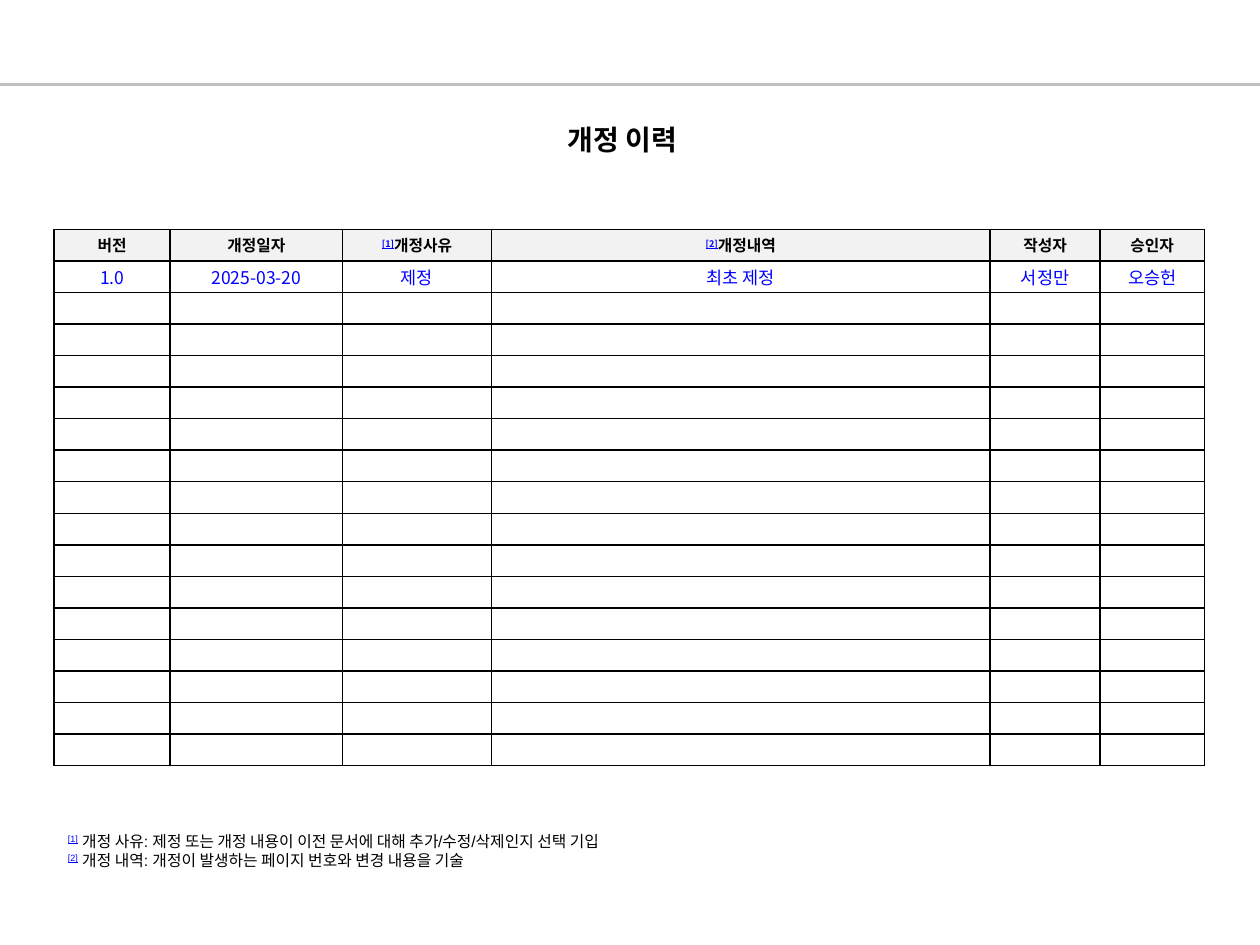
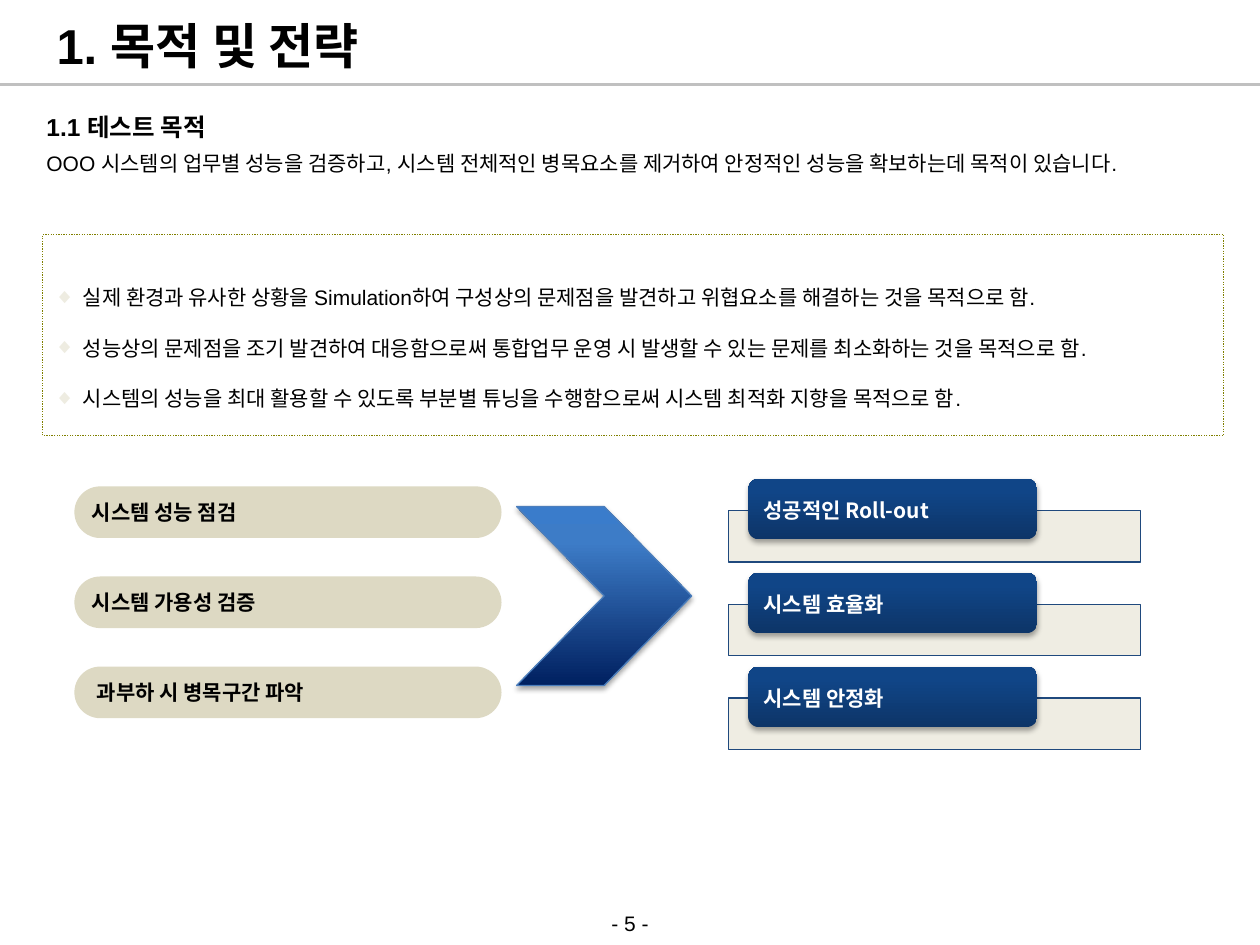
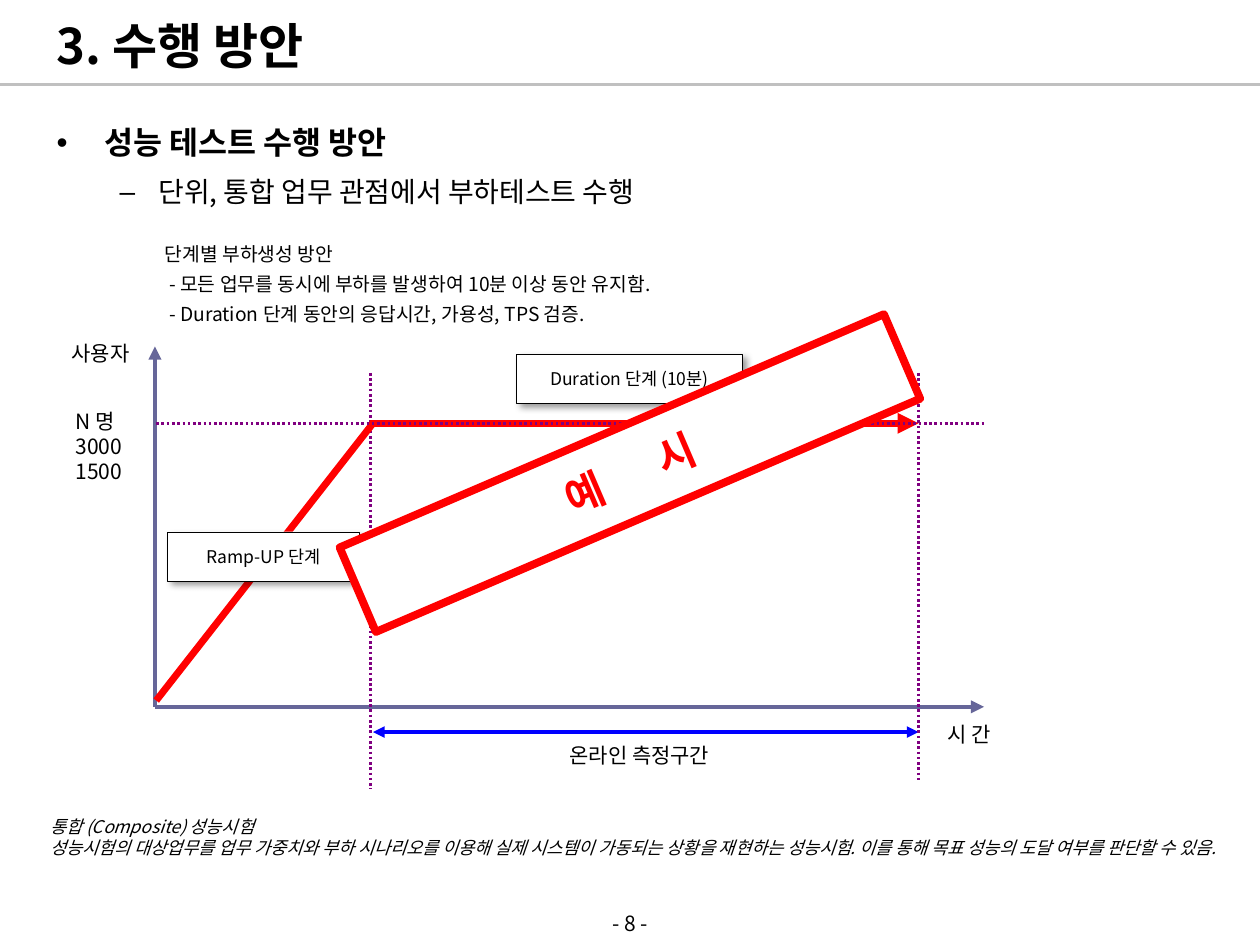
from dataclasses import dataclass, field
from typing import NamedTuple, Optional

from lxml.etree import SubElement
from pptx import Presentation
from pptx.dml.color import RGBColor
from pptx.enum.dml import MSO_LINE
from pptx.enum.shapes import MSO_CONNECTOR, MSO_SHAPE
from pptx.enum.text import MSO_ANCHOR, PP_ALIGN
from pptx.oxml.ns import qn
from pptx.util import Inches, Pt

COLORS = {
    "black": "000000", "white": "FFFFFF", "blue": "0000FF", "red": "FF0000",
    "rule": "C0C0C0", "header": "F2F2F2", "olive": "808000", "beige": "EEECE1",
    "pill": "DDD9C3", "navy": "1F497D", "chevron": "4B7EBC", "axis": "666699",
    "purple": "800080",
}
CHEVRON_STOPS = ((0, "002060"), (80, "3D7CC7"), (100, "3A7CCB"))
TAB_STOPS = ((0, "0D3568"), (80, "104587"), (100, "0E458A"))
ARIAL = "Arial"
NOTO = "Noto Sans CJK KR"
CENTER = PP_ALIGN.CENTER
MIDDLE, TOP = MSO_ANCHOR.MIDDLE, MSO_ANCHOR.TOP
INSETS = (0.1, 0.05, 0.1, 0.05)


class Box(NamedTuple):
    x: float
    y: float
    w: float
    h: float

    def lengths(self) -> list:
        return [Inches(v) for v in self]


class Shadow(NamedTuple):
    alpha: int
    blur: float
    dist: float
    angle: int


SOFT = Shadow(35, 3.1, 1.8, 90)
DIAGONAL = Shadow(40, 4, 3, 45)


@dataclass
class Run:
    text: str
    size: float = 12
    font: str = NOTO
    color: str = "black"
    fmt: dict = field(default_factory=dict)
    attrs: dict = field(default_factory=dict)


@dataclass
class Para:
    runs: list
    fmt: dict = field(default_factory=dict)
    bullet: str = ""
    bullet_color: str = "black"
    indent: tuple = (0, 0)


class Stroke(NamedTuple):
    color: str
    width: float
    dotted: bool = False


class Line(NamedTuple):
    start: tuple
    end: tuple
    stroke: Stroke
    head: bool = False
    tail: bool = False


BOLD = {"bold": True}


def rgb(name: str) -> RGBColor:
    return RGBColor.from_string(COLORS[name])


def apply(target, values: dict) -> None:
    for name, value in values.items():
        setattr(target, name, value)


def para(text: str, size: float = 12, font: str = NOTO, color: str = "black",
         fmt: Optional[dict] = None, **options) -> Para:
    return Para([Run(text, size, font, color, fmt or {})], **options)


def note_mark(text: str, font: str, bold: bool = False) -> Run:
    return Run(text, 9, font, "blue", {"underline": True, "bold": bold}, {"baseline": "30000"})


def set_bullet(p, item: Para) -> None:
    pPr = p._p.get_or_add_pPr()
    left, first = item.indent
    pPr.set("marL", str(Inches(left)))
    pPr.set("indent", str(Inches(first)))
    clr = SubElement(pPr, qn("a:buClr"))
    SubElement(clr, qn("a:srgbClr"), val=COLORS[item.bullet_color])
    SubElement(pPr, qn("a:buFont"), typeface=ARIAL)
    SubElement(pPr, qn("a:buChar"), char=item.bullet)


def write(tf, paras: list) -> None:
    for i, item in enumerate(paras):
        p = tf.add_paragraph() if i else tf.paragraphs[0]
        if item.bullet:
            set_bullet(p, item)
        apply(p, item.fmt)
        for run in item.runs:
            r = p.add_run()
            r.text = run.text
            apply(r.font, {"size": Pt(run.size), "name": run.font, **run.fmt})
            r.font.color.rgb = rgb(run.color)
            rPr = r._r.get_or_add_rPr()
            SubElement(rPr, qn("a:ea"), typeface=NOTO)
            for name, value in run.attrs.items():
                rPr.set(name, value)


def fill_frame(sp, paras: list, anchor=MIDDLE, insets: tuple = INSETS) -> None:
    tf = sp.text_frame
    sides = ("margin_left", "margin_top", "margin_right", "margin_bottom")
    apply(tf, {"word_wrap": True, "vertical_anchor": anchor,
               **{side: Inches(v) for side, v in zip(sides, insets)}})
    write(tf, paras)


def add_text(shapes, box: Box, paras: list, anchor=TOP, insets: tuple = INSETS) -> None:
    fill_frame(shapes.add_textbox(*box.lengths()), paras, anchor, insets)


def set_stroke(line, stroke: Stroke) -> None:
    line.color.rgb = rgb(stroke.color)
    line.width = Pt(stroke.width)
    if stroke.dotted:
        line.dash_style = MSO_LINE.ROUND_DOT


def set_gradient(sp, stops: tuple) -> None:
    """Fill from the bottom edge up to the top edge."""
    sp.fill.gradient()
    sp.fill.gradient_angle = 90
    gs_list = sp._element.spPr.find(qn("a:gradFill")).find(qn("a:gsLst"))
    for old in list(gs_list):
        gs_list.remove(old)
    for pos, color in stops:
        gs = SubElement(gs_list, qn("a:gs"), pos=str(pos * 1000))
        SubElement(gs, qn("a:srgbClr"), val=color)


def set_shadow(sp, shadow: Shadow) -> None:
    effects = sp._element.spPr.find(qn("a:effectLst"))
    outer = SubElement(effects, qn("a:outerShdw"), blurRad=str(Pt(shadow.blur)),
                       dist=str(Pt(shadow.dist)), dir=str(shadow.angle * 60000),
                       algn="ctr", rotWithShape="0")
    clr = SubElement(outer, qn("a:srgbClr"), val=COLORS["black"])
    SubElement(clr, qn("a:alpha"), val=str(shadow.alpha * 1000))


def add_shape(shapes, kind, box: Box, fill: str = "", stops: tuple = (),
              stroke: Optional[Stroke] = None, shadow: Optional[Shadow] = None):
    sp = shapes.add_shape(kind, *box.lengths())
    sp.shadow.inherit = False
    if stops:
        set_gradient(sp, stops)
    elif fill:
        sp.fill.solid()
        sp.fill.fore_color.rgb = rgb(fill)
    else:
        sp.fill.background()
    if stroke:
        set_stroke(sp.line, stroke)
    else:
        sp.line.fill.background()
    if shadow:
        set_shadow(sp, shadow)
    return sp


def add_line(shapes, item: Line) -> None:
    ends = [Inches(v) for v in (*item.start, *item.end)]
    c = shapes.add_connector(MSO_CONNECTOR.STRAIGHT, *ends)
    set_stroke(c.line, item.stroke)
    spPr = c._element.spPr
    ln = spPr.find(qn("a:ln"))
    for wanted, tag in ((item.head, "a:headEnd"), (item.tail, "a:tailEnd")):
        if wanted:
            SubElement(ln, qn(tag), type="triangle")
    SubElement(spPr, qn("a:effectLst"))


def add_slide(prs, title: str = "", page: int = 0, font: str = NOTO):
    """Add a slide with the top rule and, if given, its title and page number."""
    shapes = prs.slides.add_slide(prs.slide_layouts[6]).shapes
    add_line(shapes, Line((0, 0.67), (10, 0.67), Stroke("rule", 1.3)))
    if title:
        add_text(shapes, Box(0.35, 0.05, 9.29, 0.62), [para(title, 28, font, fmt=BOLD)], MIDDLE)
    if page:
        footer = para(f"- {page} -", font=font, fmt={"bold": False})
        footer.fmt = {"alignment": CENTER}
        add_text(shapes, Box(4.33, 7.15, 1.34, 0.35), [footer], MIDDLE)
    return shapes


def format_cell(cell, fill: str) -> None:
    apply(cell, {"vertical_anchor": MIDDLE, "margin_left": Inches(0.04), "margin_right": Inches(0.04),
                 "margin_top": 0, "margin_bottom": 0})
    tcPr = cell._tc.get_or_add_tcPr()
    for side in ("a:lnL", "a:lnR", "a:lnT", "a:lnB"):
        ln = SubElement(tcPr, qn(side), w=str(Pt(1)))
        SubElement(SubElement(ln, qn("a:solidFill")), qn("a:srgbClr"), val=COLORS["black"])
    if fill:
        cell.fill.solid()
        cell.fill.fore_color.rgb = rgb(fill)
    else:
        cell.fill.background()


def add_history_table(shapes) -> None:
    widths = (0.92, 1.37, 1.18, 3.96, 0.87, 0.83)
    header = (("", "버전"), ("", "개정일자"), ("[1]", "개정사유"), ("[2]", "개정내역"),
              ("", "작성자"), ("", "승인자"))
    first = ("1.0", "2025-03-20", "제정", "최초 제정", "서정만", "오승헌")
    row_count, box = 17, Box(0.43, 1.82, 9.14, 4.26)
    table = shapes.add_table(row_count, len(widths), *box.lengths()).table
    apply(table, {"first_row": False, "horz_banding": False})
    for col, width in zip(table.columns, widths):
        col.width = Inches(width)
    for i, row in enumerate(table.rows):
        row.height = Inches(box.h / row_count)
        for j, cell in enumerate(row.cells):
            format_cell(cell, "" if i else "header")
            if i == 0:
                mark, name = header[j]
                runs = [note_mark(mark, NOTO, True)] if mark else []
                runs.append(Run(name, 9, fmt=BOLD))
            elif i == 1:
                runs = [Run(first[j], 10, color="blue")]
            else:
                SubElement(cell.text_frame.paragraphs[0]._p, qn("a:endParaRPr"), sz="900")
                continue
            write(cell.text_frame, [Para(runs, {"alignment": CENTER})])


def build_history(prs) -> None:
    shapes = add_slide(prs)
    add_text(shapes, Box(4.41, 0.92, 1.17, 0.37), [para("개정 이력", 16, ARIAL, fmt=BOLD)], MIDDLE)
    notes = (
        ("[1]", " 개정 사유: 제정 또는 개정 내용이 이전 문서에 대해 추가/수정/삭제인지 선택 기입"),
        ("[2]", " 개정 내역: 개정이 발생하는 페이지 번호와 변경 내용을 기술"),
    )
    add_text(shapes, Box(0.44, 6.55, 4.99, 0.4),
             [Para([note_mark(mark, ARIAL), Run(text, 9, ARIAL)]) for mark, text in notes], MIDDLE)
    add_history_table(shapes)


def add_goal_card(shapes, y: float, label: str) -> None:
    group = shapes.add_group_shape().shapes
    panel = add_shape(group, MSO_SHAPE.RECTANGLE, Box(5.78, y + 0.25, 3.27, 0.41), "beige",
                      stroke=Stroke("navy", 0.75))
    clr = panel._element.spPr.find(qn("a:solidFill")).find(qn("a:srgbClr"))
    SubElement(clr, qn("a:alpha"), val="90000")
    add_shape(group, MSO_SHAPE.ROUNDED_RECTANGLE, Box(5.94, y, 2.29, 0.48),
              stops=TAB_STOPS, shadow=SOFT)
    add_text(group, Box(5.97, y + 0.03, 2.24, 0.44),
             [para(label, color="white", fmt=BOLD)], MIDDLE, (0.09, 0, 0.09, 0))


def build_purpose(prs) -> None:
    shapes = add_slide(prs, "1. 목적 및 전략", 5, ARIAL)
    add_text(shapes, Box(0.27, 0.84, 9.45, 0.82), [
        para("1.1 테스트 목적", 14, ARIAL, fmt=BOLD),
        Para([Run("OOO 시스템의 업무별 성능을 검증하고, 시스템 전체적인 병목요소를 제거하여 "
                  "안정적인 성능을 확보하는데 목적이 있습니다.", 12, ARIAL)], {"space_before": Pt(5)}),
    ])

    aims = (
        " 실제 환경과 유사한 상황을 Simulation하여 구성상의 문제점을 발견하고 위협요소를 해결하는 것을 목적으로 함.",
        " 성능상의 문제점을 조기 발견하여 대응함으로써 통합업무 운영 시 발생할 수 있는 문제를 최소화하는 것을 목적으로 함.",
        " 시스템의 성능을 최대 활용할 수 있도록 부분별 튜닝을 수행함으로써 시스템 최적화 지향을 목적으로 함.",
    )
    frame = add_shape(shapes, MSO_SHAPE.RECTANGLE, Box(0.34, 1.86, 9.37, 1.6),
                      stroke=Stroke("olive", 0.75, True))
    fill_frame(frame, [
        Para([Run(aim, 12, ARIAL)], {"line_spacing": 2.0, "alignment": PP_ALIGN.LEFT},
             "◆", "beige", (0.19, -0.19)) for aim in aims
    ], insets=(0.09, 0.04, 0.09, 0.04))

    checks = ("시스템 성능 점검", "시스템 가용성 검증", " 과부하 시 병목구간 파악")
    for i, check in enumerate(checks):
        pill = add_shape(shapes, MSO_SHAPE.ROUNDED_RECTANGLE,
                         Box(0.59, 3.86 + i * 0.715, 3.39, 0.41), "pill")
        pill.adjustments[0] = 0.5
        label = para(check, 12, ARIAL, fmt=BOLD)
        label.fmt = {"alignment": PP_ALIGN.LEFT}
        fill_frame(pill, [label], insets=(0.08, 0.05, 0, 0.05))

    add_shape(shapes, MSO_SHAPE.CHEVRON, Box(4.1, 4.02, 1.39, 1.42), stops=CHEVRON_STOPS,
              stroke=Stroke("chevron", 0.75), shadow=SOFT)
    for i, goal in enumerate(("성공적인 Roll-out", "시스템 효율화", "시스템 안정화")):
        add_goal_card(shapes, 3.8 + i * 0.745, goal)


def add_phase(shapes, box: Box, label: str) -> None:
    sp = add_shape(shapes, MSO_SHAPE.RECTANGLE, box, "white",
                   stroke=Stroke("black", 0.25), shadow=DIAGONAL)
    fill_frame(sp, [Para([Run(label, 10)], {"alignment": CENTER})])


def add_load_chart(shapes) -> None:
    """Draw the users-over-time sketch with its phases."""
    x0, ramp_end, run_end, x_max = 1.23, 2.94, 7.29, 7.81
    base, peak = 5.61, 3.36
    axis, load = Stroke("axis", 2.5), Stroke("red", 4)
    guide = Stroke("purple", 1.5, True)
    for item in (
        Line((2.96, 5.81), (run_end, 5.81), Stroke("blue", 2.25), True, True),
        Line((x0, base), (x0, 2.75), axis, tail=True),
        Line((x0, base), (x_max, base), axis, tail=True),
        Line((ramp_end, 2.96), (ramp_end, 6.26), guide),
        Line((1.24, 5.56), (2.96, peak), load),
    ):
        add_line(shapes, item)
    add_phase(shapes, Box(1.33, 4.22, 1.52, 0.39), "Ramp-UP 단계")
    add_line(shapes, Line((ramp_end, peak), (run_end, peak), load, tail=True))
    add_phase(shapes, Box(4.1, 2.81, 1.79, 0.39), "Duration 단계 (10분)")
    add_text(shapes, Box(0.5, 3.19, 1.01, 0.77), [para(t) for t in ("N 명", "3000", "1500")])
    add_line(shapes, Line((run_end, 2.96), (run_end, 6.19), guide))
    add_line(shapes, Line((1.24, peak), (x_max, peak), guide))


def build_method(prs) -> None:
    shapes = add_slide(prs, "3. 수행 방안", 8)
    add_text(shapes, Box(0.35, 0.84, 9.29, 0.94), [
        para("성능 테스트 수행 방안", 18, fmt=BOLD, bullet="•", indent=(0.38, -0.38)),
        para("단위, 통합 업무 관점에서 부하테스트 수행", 16, bullet="–", indent=(0.81, -0.31)),
    ])
    heading, detail = shapes[-1].text_frame.paragraphs
    apply(heading, {"line_spacing": 1.3})
    apply(detail, {"line_spacing": 1.3, "space_before": Pt(2), "level": 1})
    add_text(shapes, Box(0.3, 6.31, 9.9, 0.66), [
        para(text, 10, fmt={"italic": True}) for text in (
            "통합 (Composite) 성능시험",
            "성능시험의 대상업무를 업무 가중치와 부하 시나리오를 이용해 실제 시스템이 가동되는 상황을 "
            "재현하는 성능시험. 이를 통해 목표 성능의 도달 여부를 판단할 수 있음.",
        )
    ], MIDDLE)
    steps = (" - 모든 업무를 동시에 부하를 발생하여 10분 이상 동안 유지함.",
             " - Duration 단계 동안의 응답시간, 가용성, TPS 검증.")
    add_text(shapes, Box(1.21, 1.87, 9.62, 0.76), [
        para("단계별 부하생성 방안", 11),
        *(Para([Run(step, 11)], {"line_spacing": 1.3}) for step in steps),
    ])
    add_text(shapes, Box(4.22, 5.84, 1.71, 0.32),
             [Para([Run("온라인 측정구간")], {"alignment": CENTER})])
    add_text(shapes, Box(0.47, 2.65, 0.8, 0.32), [para("사용자")])
    add_text(shapes, Box(7.42, 5.68, 0.77, 0.32), [para("시 간")])
    add_load_chart(shapes)

    stamp = add_shape(shapes, MSO_SHAPE.RECTANGLE, Box(2.65, 3.39, 4.7, 0.73), "white",
                      stroke=Stroke("red", 4.5))
    stamp.rotation = 336.8
    fill_frame(stamp, [Para([Run("예 ", 24, color="red", fmt=BOLD, attrs={"spc": "1450"}),
                             Run("시", 24, color="red", fmt=BOLD)], {"alignment": CENTER})])


def main() -> None:
    prs = Presentation()
    apply(prs, {"slide_width": Inches(10), "slide_height": Inches(7.5)})
    for build in (build_history, build_purpose, build_method):
        build(prs)
    prs.save("out.pptx")


if __name__ == "__main__":
    main()
